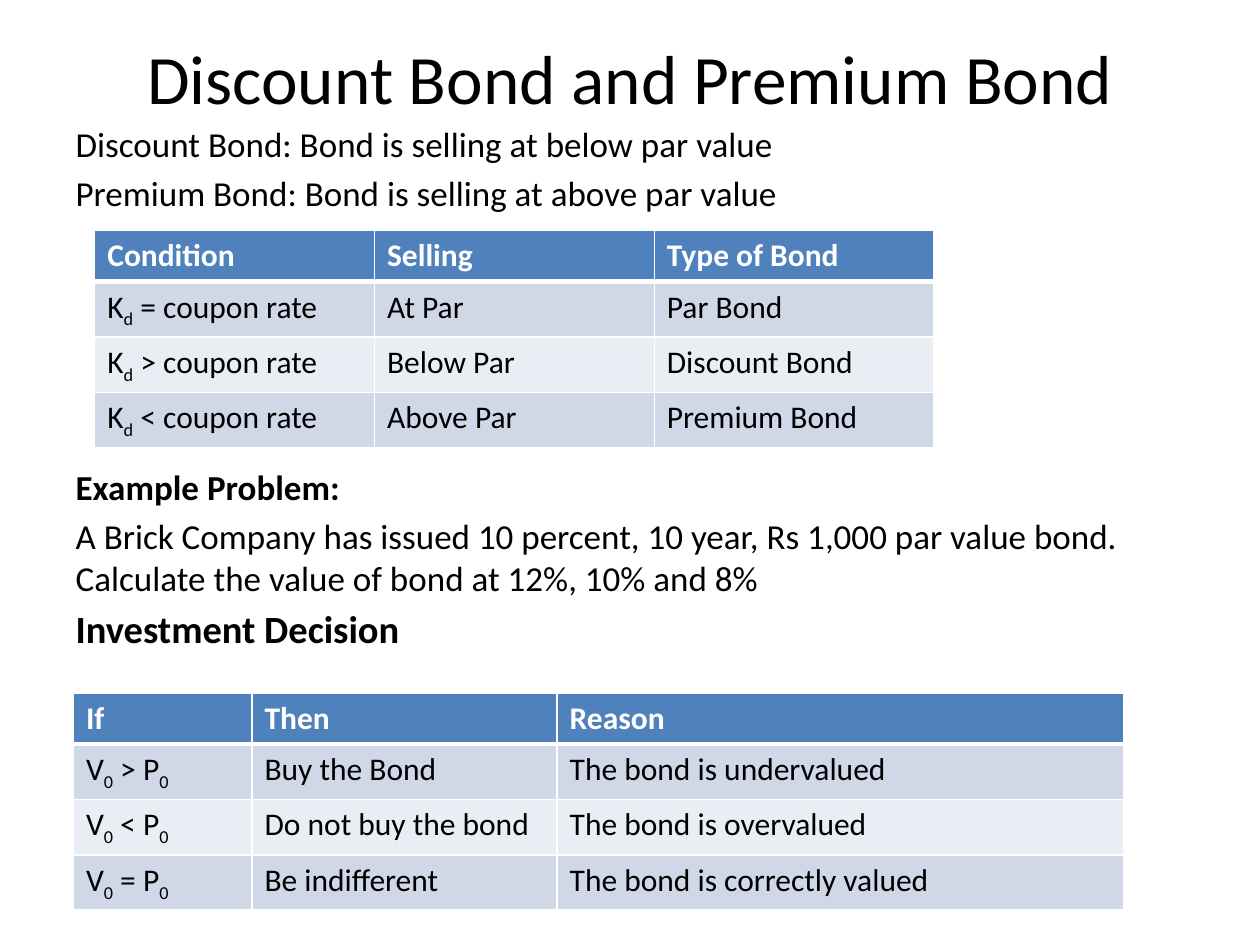
import pptx
import pptx.dml.color
import pptx.enum.text
import pptx.oxml
import pptx.oxml.ns
import pptx.util
from pptx.util import Cm

THEME = {
    "font": "Calibri",
    "text": "000000", "light": "FFFFFF",
    "head": "4F81BD", "bands": ("D0D8E8", "E9EDF4"),
    "title": 39.6, "body": 20, "topic": 22, "cell": 18,
    "gap": 4, "room": 144,  # space before a paragraph; room for a table
    "line": 1, "rule": 3,
}

TITLE = "Discount Bond and Premium Bond"
TITLE_BOX = (1.27, 0.76, 22.86, 1.57)  # left, top, width, height in cm
BODY_BOX = (1.27, 2.34, 22.86, 15.88)

# text, size, bold, space before
BODY = [
    ("Discount Bond: Bond is selling at below par value", "body", False, "gap"),
    ("Premium Bond: Bond is selling at above par value", "body", False, "gap"),
    ("Example Problem:", "body", True, "room"),
    ("A Brick Company has issued 10 percent, 10 year, Rs 1,000 par value bond. "
     "Calculate the value of bond at 12%, 10% and 8%", "body", False, "gap"),
    ("Investment Decision", "topic", True, "gap"),
]

# Text between underscores is set as subscript.
TABLES = [
    {"at": (1.91, 4.65), "cols": (5.64, 5.64, 5.64), "rows": [
        ("Condition", "Selling", "Type of Bond"),
        ("K_d_ = coupon rate", "At Par", "Par Bond"),
        ("K_d_ > coupon rate", "Below Par", "Discount Bond"),
        ("K_d_ < coupon rate", "Above Par", "Premium Bond"),
    ]},
    {"at": (1.48, 13.97), "cols": (3.6, 6.15, 11.43), "rows": [
        ("If", "Then", "Reason"),
        ("V_0_ > P_0_", "Buy the Bond", "The bond is undervalued"),
        ("V_0_ < P_0_", "Do not buy the bond", "The bond is overvalued"),
        ("V_0_ = P_0_", "Be indifferent", "The bond is correctly valued"),
    ]},
]
ROW = 1.03


def color(name):
    return pptx.dml.color.RGBColor.from_string(name)


def write(para, text, size, bold=False, ink=THEME["text"]):
    """Add text run by run, lowering each part between underscores."""
    for i, part in enumerate(text.split("_")):
        if not part:
            continue
        run = para.add_run()
        run.text = part
        font = run.font
        font.name, font.size, font.bold = THEME["font"], pptx.util.Pt(size), bold
        font.color.rgb = color(ink)
        if i % 2:
            font._element.set("baseline", "-25000")


def place(shape, box):
    shape.left, shape.top, shape.width, shape.height = map(Cm, box)
    frame = shape.text_frame
    frame.word_wrap = True
    frame.auto_size = pptx.enum.text.MSO_AUTO_SIZE.NONE
    return frame


def edge(cell, side, width):
    props = cell._tc.get_or_add_tcPr()
    props.append(pptx.oxml.parse_xml(
        f'<a:ln{side} {pptx.oxml.ns.nsdecls("a")} w="{pptx.util.Pt(width)}">'
        f'<a:solidFill><a:srgbClr val="{THEME["light"]}"/></a:solidFill>'
        f'</a:ln{side}>'))


def add_title(slide):
    frame = place(slide.shapes.title, TITLE_BOX)
    frame.vertical_anchor = pptx.enum.text.MSO_ANCHOR.MIDDLE
    para = frame.paragraphs[0]
    para.alignment = pptx.enum.text.PP_ALIGN.CENTER
    write(para, TITLE, THEME["title"])


def add_body(slide):
    frame = place(slide.placeholders[1], BODY_BOX)
    for i, (text, size, bold, space) in enumerate(BODY):
        para = frame.add_paragraph() if i else frame.paragraphs[0]
        para.space_before = pptx.util.Pt(THEME[space])
        props = para._p.get_or_add_pPr()
        props.set("marL", "0")
        props.set("indent", "0")
        props.append(pptx.oxml.parse_xml(
            f'<a:buNone {pptx.oxml.ns.nsdecls("a")}/>'))
        write(para, text, THEME[size], bold)


def add_grid(slide, at, cols, rows):
    box = (*at, sum(cols), ROW * len(rows))
    table = slide.shapes.add_table(len(rows), len(cols), *map(Cm, box)).table
    for col, width in zip(table.columns, cols):
        col.width = Cm(width)
    for r, row in enumerate(rows):
        table.rows[r].height = Cm(ROW)
        head = r == 0
        back = THEME["head"] if head else THEME["bands"][(r - 1) % 2]
        ink = THEME["light"] if head else THEME["text"]
        for c, text in enumerate(row):
            cell = table.cell(r, c)
            for side in "LRTB":
                thick = (r, side) in ((0, "B"), (1, "T"))
                edge(cell, side, THEME["rule" if thick else "line"])
            cell.fill.solid()
            cell.fill.fore_color.rgb = color(back)
            write(cell.text_frame.paragraphs[0], text, THEME["cell"], head, ink)


def main():
    deck = pptx.Presentation()
    deck.slide_width, deck.slide_height = Cm(25.4), Cm(19.05)
    slide = deck.slides.add_slide(deck.slide_layouts[1])
    add_title(slide)
    add_body(slide)
    for grid in TABLES:
        add_grid(slide, **grid)
    deck.save("out.pptx")


if __name__ == "__main__":
    main()
